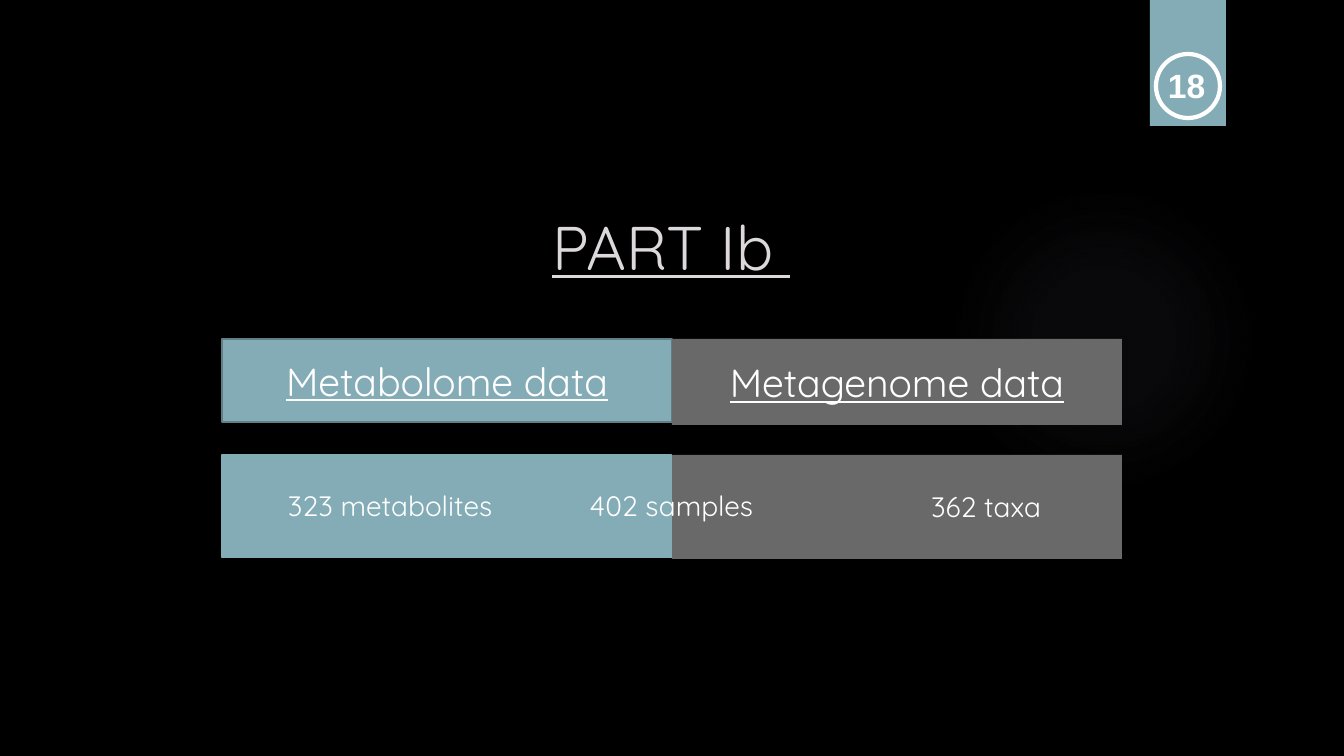
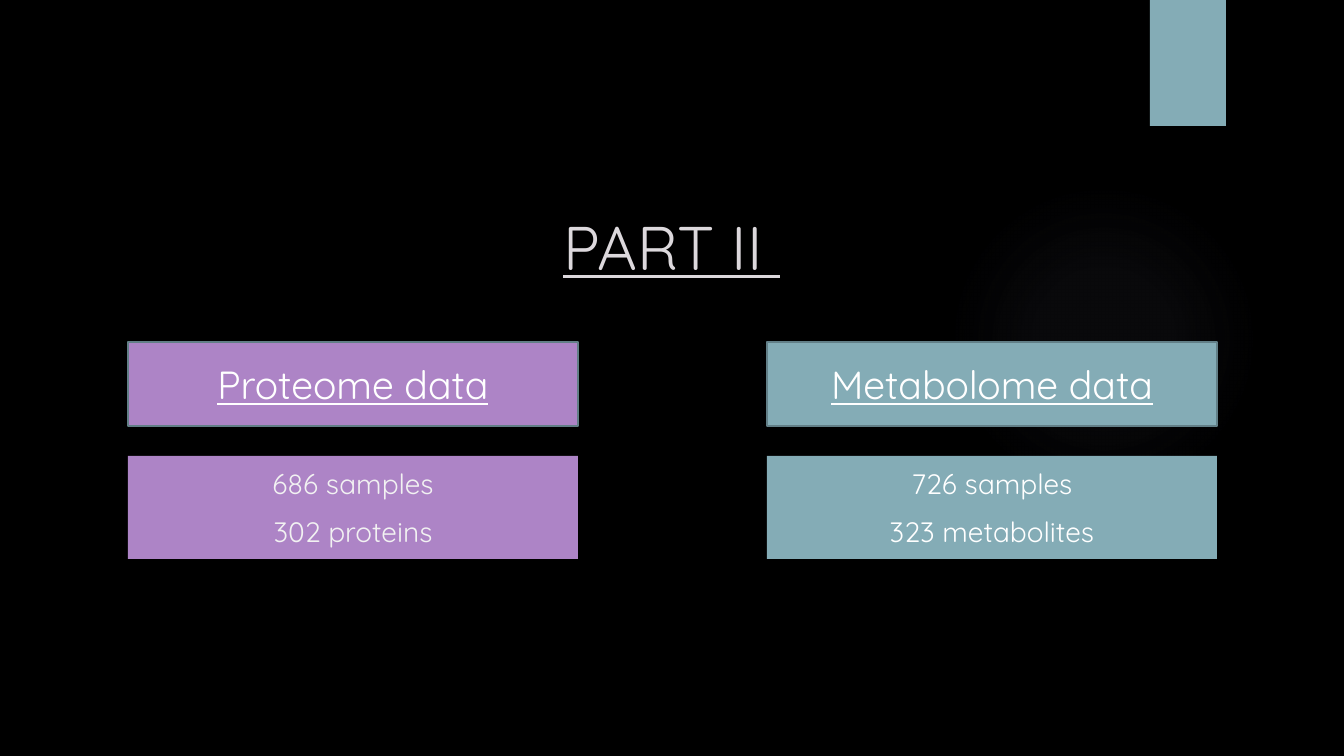
"""Build two section slides on study data sets."""
import pptx
import pptx.util
import pptx.dml.color
import pptx.enum.shapes
import pptx.enum.text
import pptx.oxml
import pptx.oxml.ns

SCALE = 914400 / 100.8
TEAL, GREY, PURPLE = "84ACB6", "696969", "AD84C6"
EDGE, WHITE, PALE, TITLE = "627F87", "FFFFFF", "F2F2F2", "DCD8DC"
FONT = "Quicksand"
FORM = pptx.enum.shapes.MSO_SHAPE
ALIGN = pptx.enum.text.PP_ALIGN
ANCHOR = pptx.enum.text.MSO_ANCHOR
PT = pptx.util.Pt
RGB = pptx.dml.color.RGBColor.from_string


def draw(slide, box, fill=None, line=None, width=0.75, form=FORM.RECTANGLE):
    shape = slide.shapes.add_shape(form, *[round(n * SCALE) for n in box])
    shape.shadow.inherit = False
    if fill:
        shape.fill.solid()
        shape.fill.fore_color.rgb = RGB(fill)
    else:
        shape.fill.background()
    if line:
        shape.line.color.rgb = RGB(line)
        shape.line.width = PT(width)
    else:
        shape.line.fill.background()
    return shape


def write(shape, lines, size, color=WHITE, align=ALIGN.CENTER, anchor=ANCHOR.MIDDLE,
          under=None, before=0, font=FONT, bold=None):
    frame = shape.text_frame
    frame.word_wrap = True
    frame.vertical_anchor = anchor
    for i, text in enumerate(lines):
        para = frame.paragraphs[0] if i == 0 else frame.add_paragraph()
        para.alignment = align
        para.space_before = PT(before)
        run = para.add_run()
        run.text = text
        run.font.name = font
        run.font.size = PT(size)
        run.font.color.rgb = RGB(color)
        run.font.underline = under
        run.font.bold = bold


deck = pptx.Presentation()
deck.slide_width = round(1344 * SCALE)
deck.slide_height = round(756 * SCALE)
back = deck.slide_master.background.fill
back.solid()
back.fore_color.rgb = RGB("000000")

stops = "".join(
    f'<a:gs pos="{at * 1000}"><a:srgbClr val="7F7B9A"><a:alpha val="{alpha * 1000}"/></a:srgbClr></a:gs>'
    for at, alpha in [(0, 7), (36, 6), (69, 0), (100, 0)])
GLOW = (f'<a:gradFill {pptx.oxml.ns.nsdecls("a")} rotWithShape="1"><a:gsLst>{stops}</a:gsLst>'
        '<a:path path="circle"><a:fillToRect l="50000" t="50000" r="50000" b="50000"/></a:path>'
        '</a:gradFill>')

slides = []
for title in ["PART Ib ", "PART II "]:
    slide = deck.slides.add_slide(deck.slide_layouts[6])
    glow = draw(slide, (949, 184, 310, 310), form=FORM.OVAL)
    props = glow.fill._xPr
    props.replace(props.find(pptx.oxml.ns.qn("a:noFill")), pptx.oxml.parse_xml(GLOW))
    draw(slide, (1150, 0, 76, 126), TEAL)
    head = slide.shapes.add_textbox(*[round(n * SCALE) for n in (157, 204, 1029, 103)])
    write(head, [title], 44, TITLE, anchor=ANCHOR.TOP, under=True)
    slides.append(slide)
first, second = slides

draw(first, (1156, 54, 64, 64), line=WHITE, width=3, form=FORM.OVAL)
badge = first.shapes.add_textbox(*[round(n * SCALE) for n in (1158, 60, 58, 50)])
write(badge, ["18"], 24, align=ALIGN.LEFT, anchor=ANCHOR.TOP, font="Arial", bold=True)

heads = [
    (first, "Metabolome data", (222, 339, 450, 83), TEAL, EDGE),
    (first, "Metagenome data", (672, 339, 450, 86), GREY, None),
    (second, "Proteome data", (128, 342, 450, 84), PURPLE, EDGE),
    (second, "Metabolome data", (767, 342, 450, 84), TEAL, EDGE),
]
for slide, text, box, fill, line in heads:
    write(draw(slide, box, fill, line, 1.5), [text], 28, under=True)

draw(first, (672, 455, 450, 104), GREY)
draw(first, (222, 455, 450, 103), TEAL, TEAL)
counts = [
    ("323 metabolites", (278, 483, 308, 44), ALIGN.LEFT),
    ("402 samples", (536, 483, 271, 44), ALIGN.CENTER),
    ("362 taxa", (743, 484, 308, 44), ALIGN.RIGHT),
]
for text, box, align in counts:
    label = first.shapes.add_textbox(*[round(n * SCALE) for n in box])
    write(label, [text], 20, align=align)

cards = [
    (128, PURPLE, PALE, ["686 samples", "302 proteins"]),
    (767, TEAL, WHITE, ["726 samples", "323 metabolites"]),
]
for left, fill, color, lines in cards:
    write(draw(second, (left, 456, 450, 103), fill), lines, 20, color, before=10)

deck.save("out.pptx")
